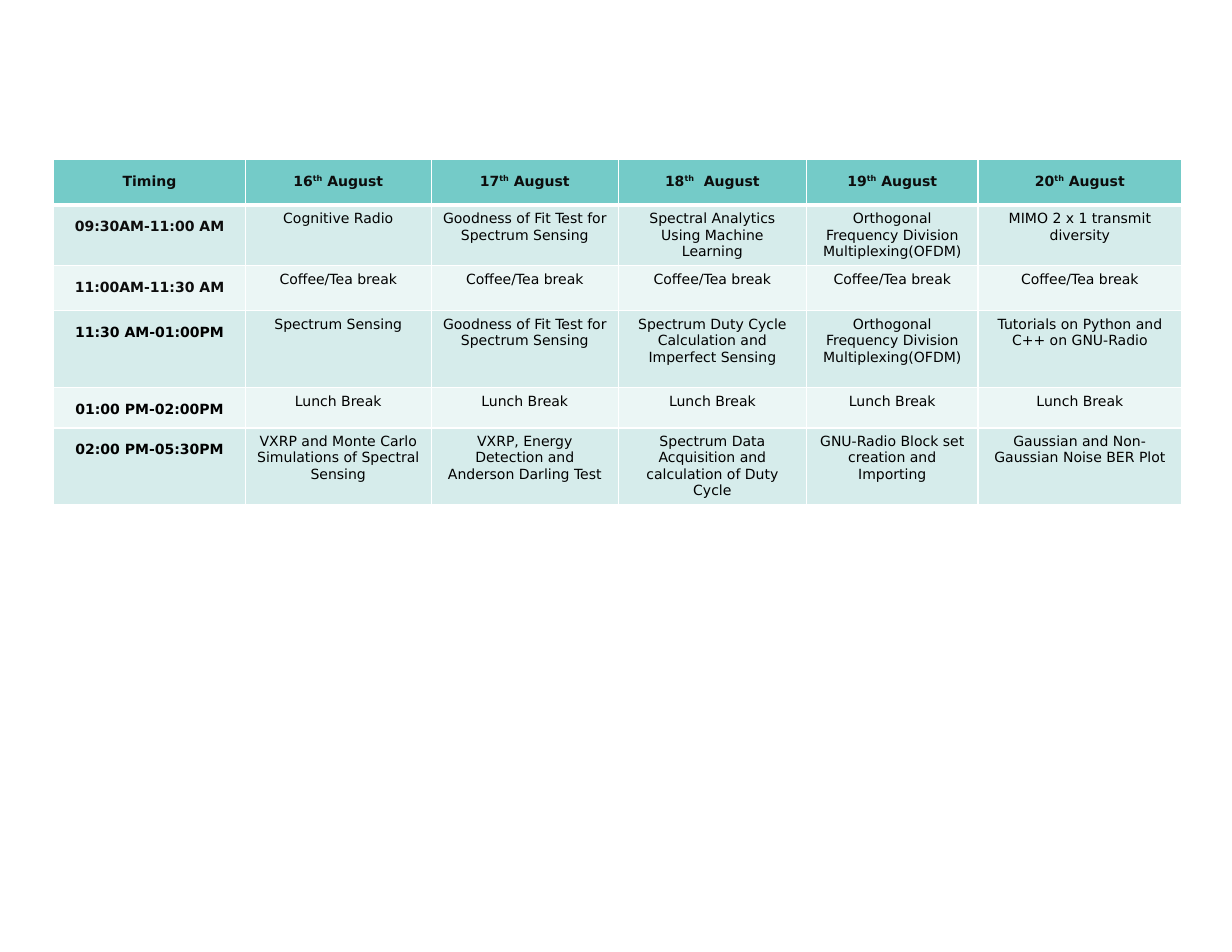
import pptx
import pptx.util
import pptx.dml.color
import pptx.enum.text
import pptx.oxml.ns
import lxml.etree

# Content
DAYS = [("16", " August"), ("17", " August"), ("18", "  August"),
        ("19", " August"), ("20", " August")]
SLOTS = [
    ("09:30AM-11:00 AM", ["Cognitive Radio",
                          "Goodness of Fit Test for Spectrum Sensing",
                          "Spectral Analytics Using Machine Learning",
                          "Orthogonal Frequency Division Multiplexing(OFDM)",
                          "MIMO 2 x 1 transmit diversity"]),
    ("11:00AM-11:30 AM", ["Coffee/Tea break"] * len(DAYS)),
    ("11:30 AM-01:00PM", ["Spectrum Sensing",
                          "Goodness of Fit Test for Spectrum Sensing",
                          "Spectrum Duty Cycle Calculation and Imperfect Sensing",
                          "Orthogonal Frequency Division Multiplexing(OFDM)",
                          "Tutorials on Python and C++ on GNU-Radio"]),
    ("01:00 PM-02:00PM", ["Lunch Break"] * len(DAYS)),
    ("02:00 PM-05:30PM", ["VXRP and Monte Carlo Simulations of Spectral Sensing",
                          "VXRP, Energy Detection and Anderson Darling Test",
                          "Spectrum Data Acquisition and calculation of Duty Cycle",
                          "GNU-Radio Block set creation and Importing",
                          "Gaussian and Non-Gaussian Noise BER Plot"]),
]

# Look
COLORS = {"head": "74CBC8", "odd": "D6ECEB", "even": "EBF6F5",
          "dark": "0D0D0D", "text": "000000", "line": "FFFFFF"}
FONT = "DejaVu Sans"
WIDTHS = [4.34, 4.22, 4.24, 4.27, 3.89, 4.62]
HEIGHTS = [1.04, 1.37, 1.02, 1.75, 0.91, 1.74]
LEFT, TOP = 1.22, 3.61

Cm = pptx.util.Cm


def rgb(name):
    return pptx.dml.color.RGBColor.from_string(COLORS[name])


def write(cell, parts, color="text", bold=False, space=None):
    """Put (text, raised) parts into one centred paragraph."""
    para = cell.text_frame.paragraphs[0]
    para.alignment = pptx.enum.text.PP_ALIGN.CENTER
    para.line_spacing = space
    for text, raised in parts:
        run = para.add_run()
        run.text = text
        run.font.name = FONT
        run.font.size = pptx.util.Pt(9)
        run.font.bold = bold
        run.font.color.rgb = rgb(color)
        if raised:
            run.font._element.set("baseline", "30000")


def paint(cell, fill, top=1, base=1):
    """Draw the borders, then the fill; top and base are line widths in points."""
    props = cell._tc.get_or_add_tcPr()
    qn = pptx.oxml.ns.qn
    for side, size in (("L", 1), ("R", 1), ("T", top), ("B", base)):
        line = lxml.etree.SubElement(props, qn(f"a:ln{side}"),
                                     w=str(pptx.util.Pt(size)))
        solid = lxml.etree.SubElement(line, qn("a:solidFill"))
        lxml.etree.SubElement(solid, qn("a:srgbClr"), val=COLORS["line"])
    cell.fill.solid()
    cell.fill.fore_color.rgb = rgb(fill)


def main():
    deck = pptx.Presentation()
    deck.slide_width, deck.slide_height = Cm(27.94), Cm(21.59)
    slide = deck.slides.add_slide(deck.slide_layouts[6])

    # Timetable grid
    grid = slide.shapes.add_table(
        len(HEIGHTS), len(WIDTHS), Cm(LEFT), Cm(TOP),
        Cm(sum(WIDTHS)), Cm(sum(HEIGHTS))).table
    for col, width in zip(grid.columns, WIDTHS):
        col.width = Cm(width)
    for row, height in zip(grid.rows, HEIGHTS):
        row.height = Cm(height)

    # Heading row
    heads = [[("Timing", False)]]
    heads += [[(day, False), ("th", True), (month, False)] for day, month in DAYS]
    label = dict(bold=True, space=1.5)
    for c, parts in enumerate(heads):
        write(grid.cell(0, c), parts, color="dark", **label)
        paint(grid.cell(0, c), "head", base=3)

    # Time slots: the first two labels are a softer black
    for r, (time, talks) in enumerate(SLOTS, 1):
        write(grid.cell(r, 0), [(time, False)],
              color="dark" if r < 3 else "text", **label)
        for c, talk in enumerate(talks, 1):
            write(grid.cell(r, c), [(talk, False)])
        for c in range(len(WIDTHS)):
            paint(grid.cell(r, c), "odd" if r % 2 else "even",
                  top=3 if r == 1 else 1)

    deck.save("out.pptx")


if __name__ == "__main__":
    main()
